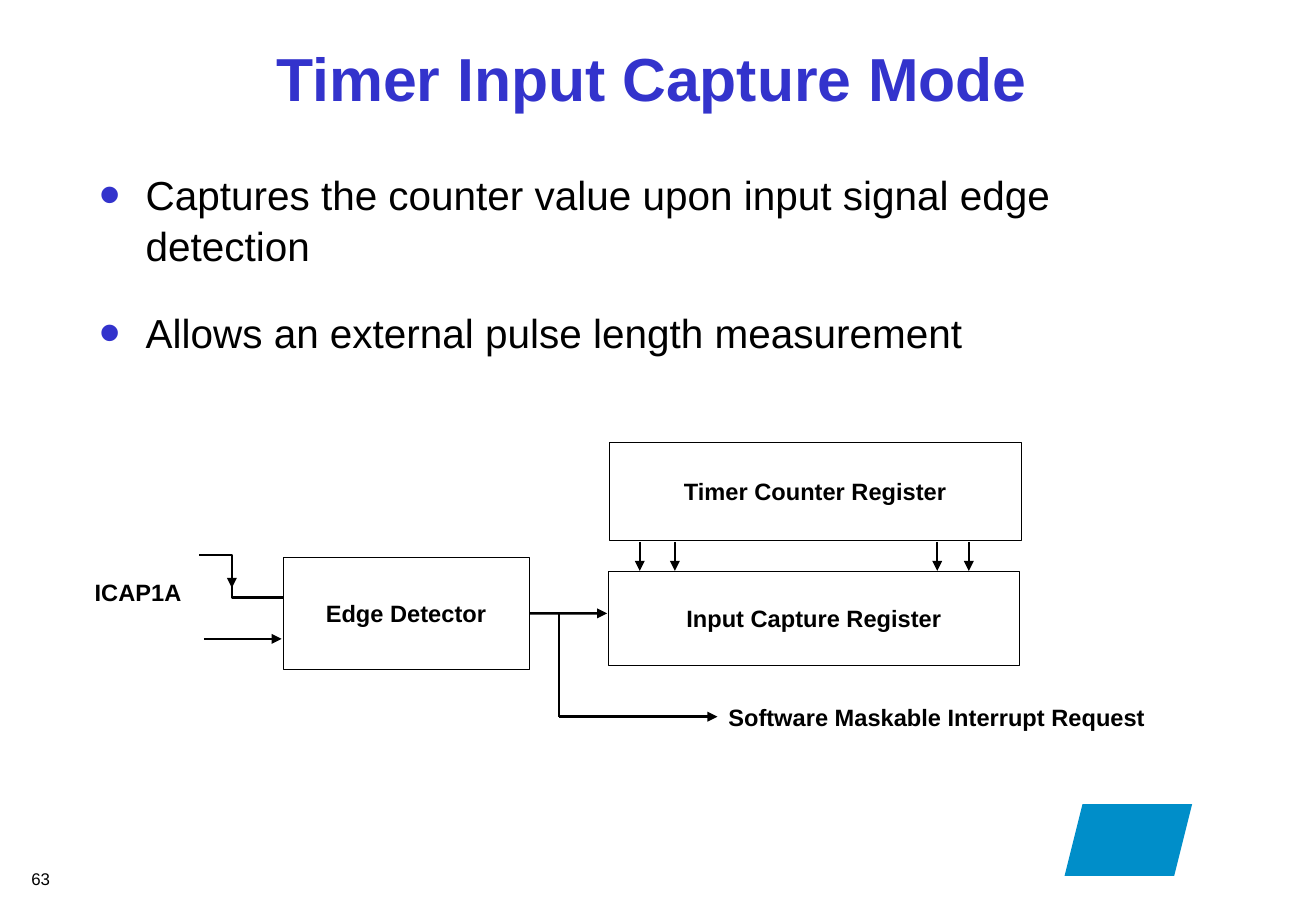
import dataclasses

import lxml.etree
import pptx
import pptx.dml.color
import pptx.enum.shapes
import pptx.enum.text
import pptx.oxml.ns
import pptx.util

BLACK = pptx.dml.color.RGBColor(0x00, 0x00, 0x00)
WHITE = pptx.dml.color.RGBColor(0xFF, 0xFF, 0xFF)
INDIGO = pptx.dml.color.RGBColor(0x33, 0x33, 0xCC)
SHADOW_GREY = pptx.dml.color.RGBColor(0xB2, 0xB2, 0xB2)
LOGO_BLUE = pptx.dml.color.RGBColor(0x00, 0x8E, 0xC9)

FONT = "Arial"
SLIDE_WIDTH = pptx.util.Inches(10.84)
SLIDE_HEIGHT = pptx.util.Inches(7.5)
RIGHT_SIDE = 3
LEFT = pptx.enum.text.PP_ALIGN.LEFT
CENTER = pptx.enum.text.PP_ALIGN.CENTER
TOP = pptx.enum.text.MSO_ANCHOR.TOP
MIDDLE = pptx.enum.text.MSO_ANCHOR.MIDDLE


# All positions and sizes are percentages of the slide's width and height.
@dataclasses.dataclass(frozen=True)
class Area:
    left: float
    top: float
    width: float
    height: float

    def lengths(self) -> tuple[int, int, int, int]:
        return (*point(self.left, self.top), *point(self.width, self.height))


@dataclasses.dataclass(frozen=True)
class Label:
    text: str
    area: Area
    size: float = 14
    bold: bool = True
    inset: float = 0


@dataclasses.dataclass(frozen=True)
class Wire:
    start: tuple[float, float]
    end: tuple[float, float]
    arrow: bool = True


def point(across: float, down: float) -> tuple[int, int]:
    return round(SLIDE_WIDTH * across / 100), round(SLIDE_HEIGHT * down / 100)


def add_element(parent, tag: str, **attributes: str):
    return lxml.etree.SubElement(parent, pptx.oxml.ns.qn(tag), attributes)


def style_font(font, size: float, bold: bool, color=BLACK) -> None:
    font.name = FONT
    font.size = pptx.util.Pt(size)
    font.bold = bold
    font.color.rgb = color


def fill_text(shape, label: Label, align, anchor) -> None:
    frame = shape.text_frame
    frame.word_wrap = True
    frame.vertical_anchor = anchor
    frame.margin_left = frame.margin_right = pptx.util.Inches(label.inset)
    frame.margin_top = frame.margin_bottom = pptx.util.Inches(label.inset / 2)
    para = frame.paragraphs[0]
    para.text = label.text
    para.alignment = align
    style_font(para.font, label.size, label.bold)


def place(placeholder, area: Area, anchor) -> None:
    placeholder.left, placeholder.top, placeholder.width, placeholder.height = area.lengths()
    placeholder.text_frame.vertical_anchor = anchor
    placeholder.text_frame.auto_size = pptx.enum.text.MSO_AUTO_SIZE.NONE


def add_title(slide, text: str, area: Area) -> None:
    title = slide.shapes.title
    place(title, area, MIDDLE)
    para = title.text_frame.paragraphs[0]
    para.alignment = CENTER
    span = para.add_run()
    span.text = text
    style_font(span.font, 36, True, INDIGO)
    effects = add_element(span.font._element, "a:effectLst")
    # The effect list belongs right after the fill, before the typeface
    span.font._element.find(pptx.oxml.ns.qn("a:solidFill")).addnext(effects)
    shadow = add_element(effects, "a:outerShdw", dist="25400", dir="2700000")
    add_element(shadow, "a:srgbClr", val=str(SHADOW_GREY))


def add_bullets(slide, items: list[str], area: Area) -> None:
    body = slide.placeholders[1]
    place(body, area, TOP)
    frame = body.text_frame
    for index, item in enumerate(items):
        para = frame.add_paragraph() if index else frame.paragraphs[0]
        para.text = item
        para.alignment = LEFT
        para.line_spacing = 1.05
        para.space_before = pptx.util.Pt(17 if index else 0)
        para.space_after = pptx.util.Pt(4.5)
        properties = para._p.get_or_add_pPr()
        indent = pptx.util.Inches(0.38)
        properties.set("marL", str(indent))
        properties.set("indent", str(-indent))
        bullet_color = add_element(properties, "a:buClr")
        add_element(bullet_color, "a:srgbClr", val=str(INDIGO))
        add_element(properties, "a:buSzPct", val="150000")
        add_element(properties, "a:buFont", typeface=FONT)
        add_element(properties, "a:buChar", char="•")
        style_font(para.font, 24, False)


def add_block(slide, label: Label):
    rectangle = pptx.enum.shapes.MSO_SHAPE.RECTANGLE
    box = slide.shapes.add_shape(rectangle, *label.area.lengths())
    box.shadow.inherit = False
    box.fill.solid()
    box.fill.fore_color.rgb = WHITE
    box.line.color.rgb = BLACK
    box.line.width = pptx.util.Pt(0.25)
    fill_text(box, label, CENTER, MIDDLE)
    return box


def add_label(slide, label: Label) -> None:
    box = slide.shapes.add_textbox(*label.area.lengths())
    fill_text(box, label, LEFT, TOP)


def add_wire(slide, wire: Wire):
    straight = pptx.enum.shapes.MSO_CONNECTOR.STRAIGHT
    line = slide.shapes.add_connector(straight, *point(*wire.start), *point(*wire.end))
    line.line.color.rgb = BLACK
    line.line.width = pptx.util.Pt(1.5)
    if wire.arrow:
        add_element(line.line._get_or_add_ln(), "a:tailEnd", type="triangle")
    add_element(line._element.spPr, "a:effectLst")
    return line


def add_signal(slide, corners: list[tuple[float, float]]) -> None:
    first, *others = [point(*corner) for corner in corners]
    builder = slide.shapes.build_freeform(*first)
    builder.add_line_segments(others, close=False)
    signal = builder.convert_to_shape()
    signal.shadow.inherit = False
    signal.fill.background()
    signal.line.color.rgb = BLACK
    signal.line.width = pptx.util.Pt(1.5)


def add_logo_stand_in(slide, area: Area) -> None:
    parallelogram = pptx.enum.shapes.MSO_SHAPE.PARALLELOGRAM
    mark = slide.shapes.add_shape(parallelogram, *area.lengths())
    mark.shadow.inherit = False
    mark.fill.solid()
    mark.fill.fore_color.rgb = LOGO_BLUE
    mark.line.fill.background()


def main() -> None:
    deck = pptx.Presentation()
    deck.slide_width, deck.slide_height = SLIDE_WIDTH, SLIDE_HEIGHT
    slide = deck.slides.add_slide(deck.slide_layouts[1])

    # Title and list
    add_logo_stand_in(slide, Area(80.9, 88.27, 9.69, 7.87))
    add_title(slide, "Timer Input Capture Mode", Area(6.64, 1.33, 85.79, 14.4))
    add_bullets(slide, [
        "Captures the counter value upon input signal edge detection",
        "Allows an external pulse length measurement",
    ], Area(6.64, 17.73, 85.79, 27.2))

    # Blocks of the diagram
    detector = add_block(slide, Label("Edge Detector", Area(21.49, 61.2, 18.73, 12.27)))
    add_block(slide, Label("Timer Counter Register", Area(46.31, 48.53, 31.27, 10.8)))
    add_block(slide, Label("Input Capture Register", Area(46.22, 62.67, 31.27, 10.4)))

    # Counter to capture register, then input, interrupt branch and falling edge
    for across in (48.62, 51.29, 71.22, 73.62):
        add_wire(slide, Wire((across, 59.47), (across, 62.67)))
    add_wire(slide, Wire((15.5, 70.13), (21.4, 70.13)))
    capture = add_wire(slide, Wire((40.22, 67.33), (46.13, 67.33)))
    capture.begin_connect(detector, RIGHT_SIDE)
    add_wire(slide, Wire((42.48, 67.33), (42.48, 78.67), arrow=False))
    add_wire(slide, Wire((42.48, 78.67), (54.52, 78.67)))
    add_signal(slide, [(15.13, 60.93), (17.62, 60.93), (17.62, 65.6), (21.49, 65.6)])
    add_wire(slide, Wire((17.62, 62.53), (17.62, 64.53)))

    # Labels and slide number
    add_label(slide, Label("ICAP1A", Area(7.2, 63.47, 7.75, 3.33)))
    add_label(slide, Label("Software Maskable Interrupt Request", Area(55.35, 77.2, 35.52, 3.33)))
    add_label(slide, Label("63", Area(1.48, 94.67, 4.8, 3.6), size=10, bold=False, inset=0.1))

    deck.save("out.pptx")


if __name__ == "__main__":
    main()
